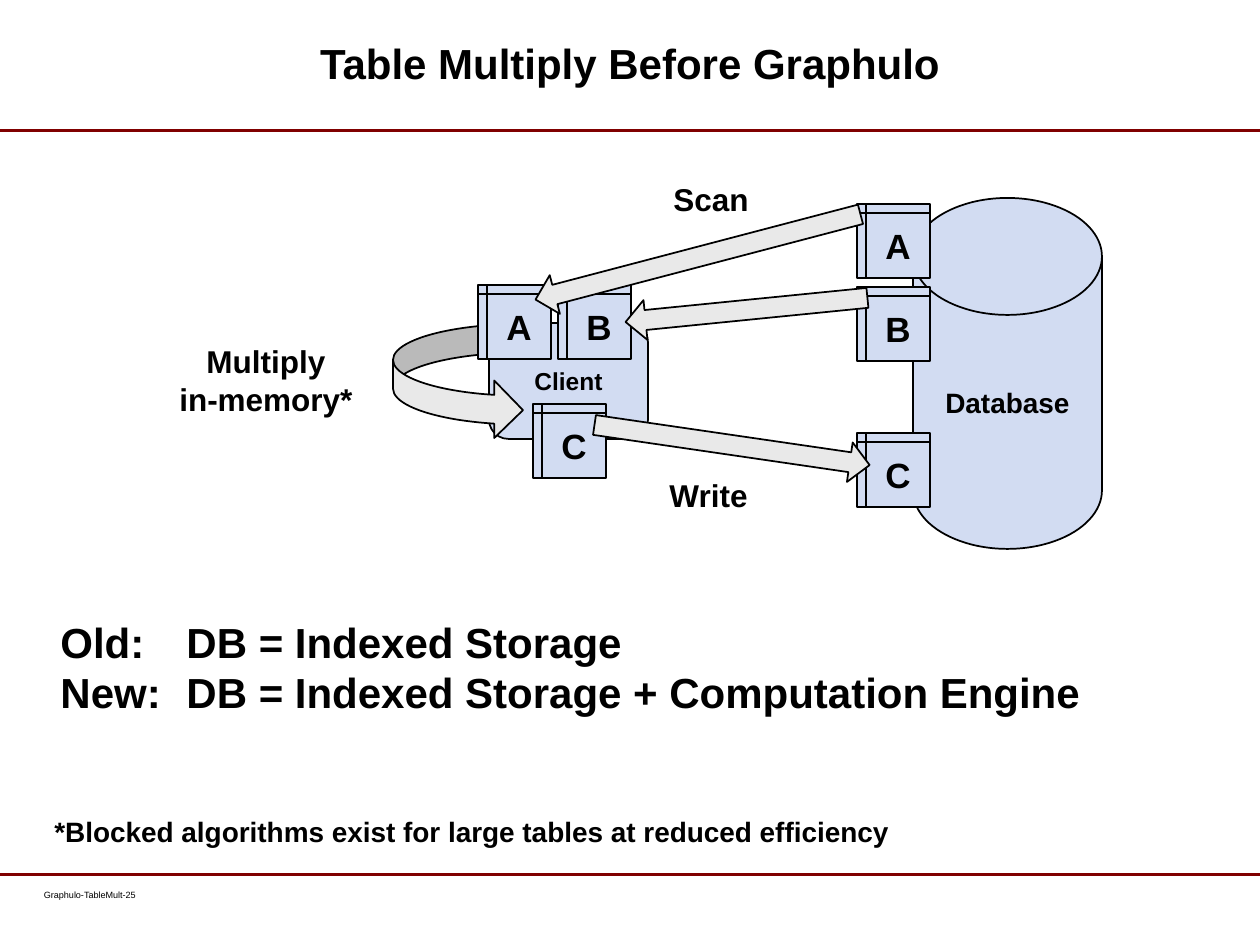
from lxml import etree
from pptx import Presentation
from pptx.dml.color import RGBColor
from pptx.enum.shapes import MSO_CONNECTOR, MSO_SHAPE
from pptx.enum.text import MSO_ANCHOR, MSO_AUTO_SIZE, PP_ALIGN
from pptx.oxml.ns import qn
from pptx.util import Emu, Pt

STRAIGHT = MSO_CONNECTOR.STRAIGHT
DISK = MSO_SHAPE.FLOWCHART_MAGNETIC_DISK
STORAGE = MSO_SHAPE.FLOWCHART_INTERNAL_STORAGE
ROUNDED = MSO_SHAPE.ROUNDED_RECTANGLE
LEFT_ARROW = MSO_SHAPE.LEFT_ARROW
CURVED_ARROW = MSO_SHAPE.CURVED_RIGHT_ARROW
LEFT, CENTER = PP_ALIGN.LEFT, PP_ALIGN.CENTER
TOP, MIDDLE = MSO_ANCHOR.TOP, MSO_ANCHOR.MIDDLE
FIT_SHAPE = MSO_AUTO_SIZE.SHAPE_TO_FIT_TEXT

BLACK = RGBColor(0x00, 0x00, 0x00)
MAROON = RGBColor(0x80, 0x00, 0x00)
PALE_BLUE = RGBColor(0xD2, 0xDC, 0xF2)
PALE_GRAY = RGBColor(0xE9, 0xE9, 0xE9)

FONT = "Arial"
PAGE_WIDTH, PAGE_HEIGHT = 1260, 945
TILE_WIDTH, TILE_HEIGHT = 73, 74
ARROW_THICKNESS = 40


def px(length):
    return Emu(round(length * 914400 / 126))


def write_text(frame, text, *, size, bold=True, align=CENTER, anchor=MIDDLE,
               spacing=None):
    frame.vertical_anchor = anchor
    for index, line in enumerate(text.split("\n")):
        para = frame.paragraphs[0] if index == 0 else frame.add_paragraph()
        para.alignment = align
        if spacing:
            para.line_spacing = Pt(spacing)
        span = para.add_run()
        span.text = line
        span.font.name = FONT
        span.font.size = Pt(size)
        span.font.bold = bold
        span.font.color.rgb = BLACK


def add_label(page, box, text, *, inset=True, **text_format):
    label = page.shapes.add_textbox(*map(px, box))
    frame = label.text_frame
    frame.word_wrap = False
    frame.auto_size = FIT_SHAPE
    if not inset:
        frame.margin_left = frame.margin_right = 0
        frame.margin_top = frame.margin_bottom = 0
    write_text(frame, text, **{"anchor": TOP, **text_format})


def add_block(page, kind, box, *, fill=PALE_BLUE, text=None, size=20, rotation=0):
    block = page.shapes.add_shape(kind, *map(px, box))
    block.shadow.inherit = False
    block.fill.solid()
    block.fill.fore_color.rgb = fill
    block.line.color.rgb = BLACK
    block.line.width = Pt(1)
    block.rotation = rotation
    if text:
        write_text(block.text_frame, text, size=size)


def add_tile(page, left, top, name):
    add_block(page, STORAGE, (left, top, TILE_WIDTH, TILE_HEIGHT), text=name)


def add_rule(page, top):
    rule = page.shapes.add_connector(STRAIGHT, 0, px(top), px(PAGE_WIDTH), px(top))
    rule.line.color.rgb = MAROON
    rule.line.width = Pt(1.75)
    etree.SubElement(rule._element.spPr, qn("a:effectLst"))


def add_frame(page, box):
    """Title, the two rules and the footer."""
    left, top, width, _ = box
    add_rule(page, top + 131)
    add_rule(page, top + 875)
    add_label(page, (left + 44, top + 889, 150, 30), "Graphulo-TableMult-25",
              size=5.2, bold=False, align=LEFT, inset=False)
    title = page.shapes.add_textbox(px(left + 130), px(top + 14),
                                    px(width - 260), px(112))
    title.text_frame.word_wrap = True
    write_text(title.text_frame, "Table Multiply Before Graphulo", size=24, spacing=21)


def add_database(page, box):
    """Disk with its stored tables along the left edge."""
    left, top, width, height = box
    add_block(page, DISK, box, text="Database", size=16)
    for name, offset in (("A", 6), ("B", 89), ("C", 235)):
        add_tile(page, left - 56, top + offset, name)


def add_client(page, box):
    """Client with its working tables and the multiply loop."""
    left, top, width, height = box
    add_block(page, ROUNDED, box, text="Client", size=14)
    add_tile(page, left + 69, top - 38, "B")
    add_tile(page, left + 44, top + 81, "C")
    add_block(page, CURVED_ARROW, (left - 96, top + 1, 130, 115), fill=PALE_GRAY)
    add_tile(page, left - 11, top - 38, "A")
    add_label(page, (left - 323, top + 13, 200, 89), "Multiply\nin-memory*", size=18)


def add_transfers(page, box):
    """Arrows between client and database, with their labels."""
    left, top, _, _ = box
    arrows = (
        (63, 251, 278, 188.3),  # write C
        (95, 116, 243, 354.3),  # scan B
        (0, 63, 336, 345.3),    # scan A
    )
    for across, down, length, rotation in arrows:
        add_block(page, LEFT_ARROW,
                  (left + across, top + down, length, ARROW_THICKNESS),
                  fill=PALE_GRAY, rotation=rotation)
    add_label(page, (left + 130, top, 102, 50), "Scan", size=18)
    add_label(page, (left + 126, top + 296, 105, 50), "Write", size=18)


def add_notes(page, box):
    """Old and new view of the database, and the footnote."""
    left, top, width, _ = box
    add_label(page, (left + 6, top, width - 6, 115),
              "Old: \tDB = Indexed Storage\n"
              "New:\tDB = Indexed Storage + Computation Engine",
              size=24, align=LEFT)
    add_label(page, (left, top + 198, 872, 47),
              "*Blocked algorithms exist for large tables at reduced efficiency",
              size=16, align=LEFT)


def main():
    deck = Presentation()
    deck.slide_width, deck.slide_height = px(PAGE_WIDTH), px(PAGE_HEIGHT)
    page = deck.slides.add_slide(deck.slide_layouts[6])
    add_frame(page, (0, 0, PAGE_WIDTH, PAGE_HEIGHT))
    add_database(page, (913, 198, 189, 351))
    add_client(page, (489, 323, 159, 116))
    add_transfers(page, (530, 174, 341, 346))
    add_notes(page, (42, 610, 1060, 245))
    deck.save("out.pptx")


if __name__ == "__main__":
    main()
